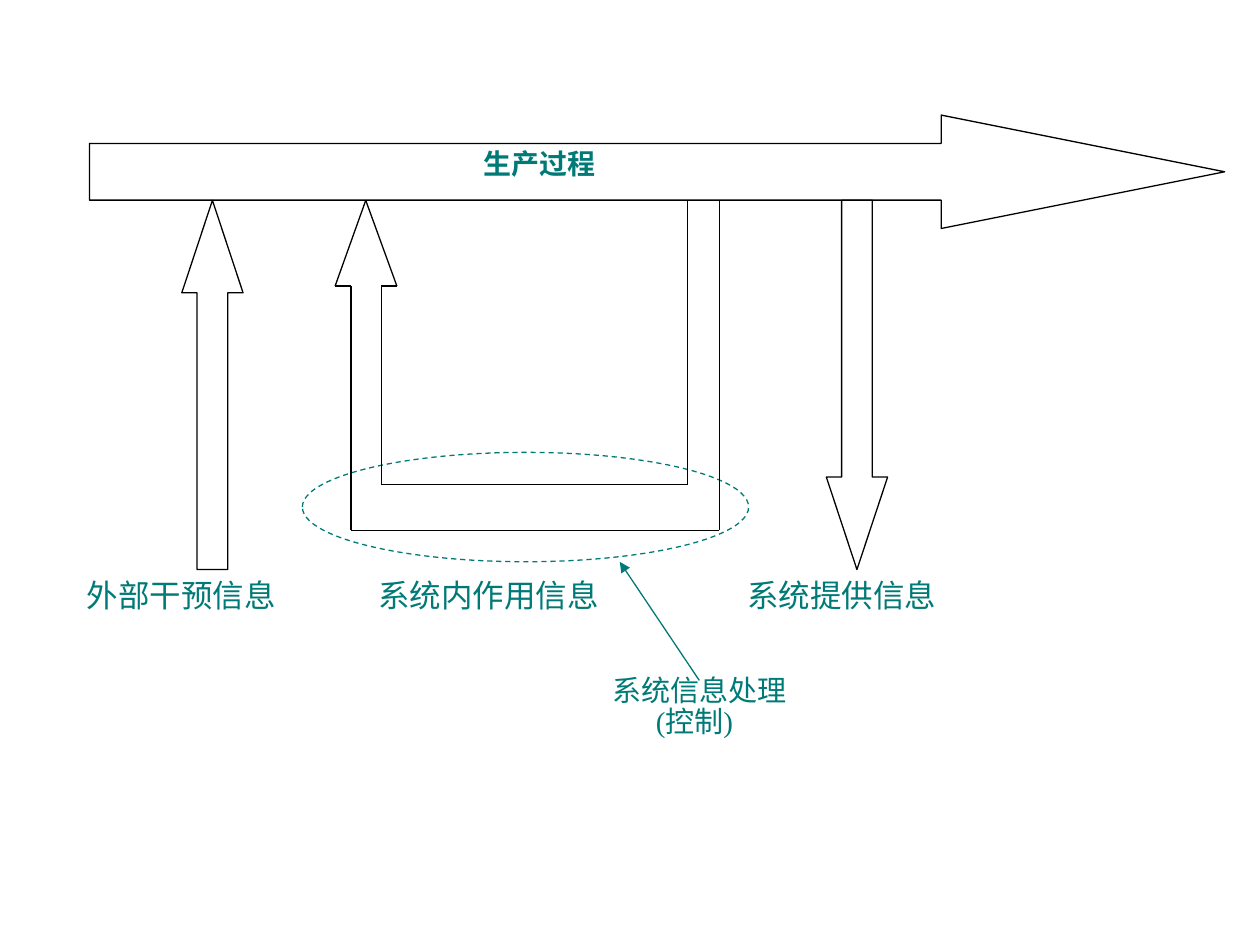
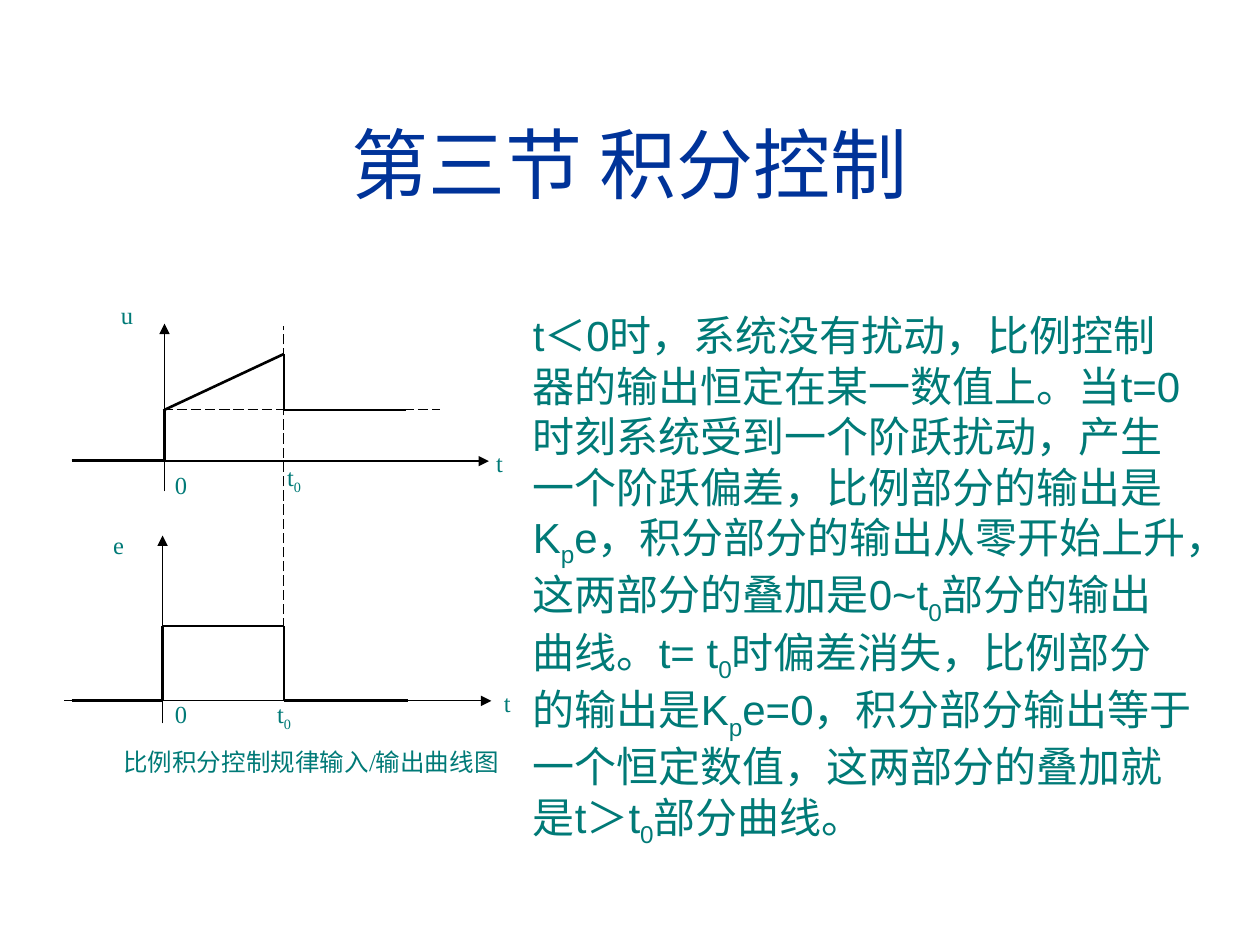
from itertools import pairwise

from lxml.etree import SubElement
from pptx import Presentation
from pptx.dml.color import RGBColor
from pptx.enum.dml import MSO_LINE
from pptx.enum.shapes import MSO_CONNECTOR, MSO_SHAPE
from pptx.enum.text import MSO_ANCHOR, PP_ALIGN
from pptx.oxml.ns import qn
from pptx.util import Pt

TEAL = "007A77"
BLUE = "003399"
BLACK = "000000"
SERIF = "Times New Roman"
SANS = "Arial"

LABEL = {"name": SERIF, "size": Pt(18)}
PROCESS = {"name": SERIF, "size": Pt(16), "bold": True}
CONTROL = {"name": SERIF, "size": Pt(16.6)}
AXIS = {"name": SERIF, "size": Pt(14)}
BODY = {"name": SANS, "size": Pt(24)}
TITLE = {"name": SANS, "size": Pt(44)}


def add_text(slide, box, lines, font_format, color=TEAL, align=PP_ALIGN.JUSTIFY):
    frame = slide.shapes.add_textbox(*map(Pt, box)).text_frame
    frame.word_wrap = True
    for index, line in enumerate(lines):
        paragraph = frame.paragraphs[0] if index == 0 else frame.add_paragraph()
        paragraph.alignment = align
        head, *tails = line.split("_")
        pieces = [(head, False)]
        for tail in tails:
            pieces += [(tail[0], True), (tail[1:], False)]
        for text, is_subscript in pieces:
            if not text:
                continue
            run = paragraph.add_run()
            run.text = text
            for name, value in font_format.items():
                setattr(run.font, name, value)
            run.font.color.rgb = RGBColor.from_string(color)
            if is_subscript:
                run._r.get_or_add_rPr().set("baseline", "-25000")
    return frame


def add_lines(slide, points, width=0.75, color=BLACK, dash=None, arrow=False):
    for start, end in pairwise(points):
        connector = slide.shapes.add_connector(
            MSO_CONNECTOR.STRAIGHT, *map(Pt, start + end))
        connector.line.width = Pt(width)
        connector.line.color.rgb = RGBColor.from_string(color)
        if dash:
            connector.line.dash_style = dash
        if arrow:
            SubElement(connector.line._get_or_add_ln(), qn("a:tailEnd"), type="triangle")
        SubElement(connector._element.spPr, qn("a:effectLst"))


presentation = Presentation()
presentation.slide_width = Pt(720)
presentation.slide_height = Pt(540)
blank_layout = presentation.slide_layouts[6]

flow_slide = presentation.slides.add_slide(blank_layout)

flow_shapes = [
    (MSO_SHAPE.RIGHT_ARROW, (51.1, 65.8, 648.7, 64.8), (0.5, 2.5), BLACK, None),
    (MSO_SHAPE.UP_ARROW, (103.9, 114.5, 35, 211), (0.5, 1.51), BLACK, None),
    (MSO_SHAPE.DOWN_ARROW, (472.2, 114.5, 35, 211), (0.5, 1.51), BLACK, None),
    (MSO_SHAPE.OVAL, (172.8, 258.5, 255, 62.5), (), TEAL, MSO_LINE.DASH),
]
for kind, box, adjustments, color, dash in flow_shapes:
    shape = flow_slide.shapes.add_shape(kind, *map(Pt, box))
    shape.shadow.inherit = False
    shape.fill.background()
    shape.line.width = Pt(0.75)
    shape.line.color.rgb = RGBColor.from_string(color)
    if dash:
        shape.line.dash_style = dash
    for index, adjustment in enumerate(adjustments):
        shape.adjustments[index] = adjustment

feedback_arrow = [
    (411, 114.5), (411, 303), (200.5, 303), (200.5, 163.5), (191.5, 163.5),
    (209, 114.5), (226.8, 163.5), (218, 163.5), (218, 277), (393, 277), (393, 114.5),
]
add_lines(flow_slide, feedback_arrow)

for left, width, label in [
    (42.5, 140.5, "外部干预信息"),
    (209, 157.5, "系统内作用信息"),
    (419.8, 140.5, "系统提供信息"),
]:
    add_text(flow_slide, (left, 325.5, width, 49), [label], LABEL)
add_text(flow_slide, (269.3, 80, 82, 31), ["生产过程"], PROCESS)

control = add_text(flow_slide, (342.7, 383, 130.5, 49), ["系统信息处理", "(控制)"], CONTROL)
for paragraph in control.paragraphs:
    paragraph.line_spacing = 0.9
control.paragraphs[1]._p.get_or_add_pPr().set("marL", str(Pt(25)))
add_lines(flow_slide, [(399.6, 388.8), (354.2, 321.1)], color=TEAL, arrow=True)

curve_slide = presentation.slides.add_slide(blank_layout)

axes = [
    [(94, 280.8), (94, 185)],
    [(41, 263.5), (279.4, 263.5)],
    [(92.9, 413.3), (92.9, 306)],
    [(36.7, 400.5), (280.8, 400.5)],
]
for axis in axes:
    add_lines(curve_slide, axis, arrow=True)

guides = [
    [(162.2, 359), (162.2, 186.5)],
    [(92.9, 234.2), (251.3, 234.2)],
]
for guide in guides:
    add_lines(curve_slide, guide, dash=MSO_LINE.LONG_DASH)

curves = [
    [(41, 263), (94, 263), (94, 234.2), (162.2, 202.3), (162.2, 234.2), (232, 234.2)],
    [(41, 400.3), (92.9, 400.3), (92.9, 357.8), (162.2, 357.8), (162.2, 400.3), (233, 400.3)],
]
for curve in curves:
    add_lines(curve_slide, curve, width=1.5)

for left, top, width, label in [
    (62, 167.8, 28, "u"),
    (57.6, 299.5, 28, "e"),
    (276.5, 252.7, 28, "t"),
    (280.8, 389.5, 28, "t"),
    (92.9, 265, 33, "0"),
    (92.9, 396, 33, "0"),
    (157, 260.6, 33, "t_0"),
    (151.2, 396, 32, "t_0"),
    (63.4, 423.4, 308, "比例积分控制规律输入/输出曲线图"),
]:
    add_text(curve_slide, (left, top, width, 28.8), [label], AXIS)

explanation = (
    "t＜0时，系统没有扰动，比例控制器的输出恒定在某一数值上。"
    "当t=0时刻系统受到一个阶跃扰动，产生一个阶跃偏差，"
    "比例部分的输出是K_pe，积分部分的输出从零开始上升，"
    "这两部分的叠加是0~t_0部分的输出曲线。"
    "t= t_0时偏差消失，比例部分的输出是K_pe=0，"
    "积分部分输出等于一个恒定数值，这两部分的叠加就是t＞t_0部分曲线。"
)
add_text(curve_slide, (297.4, 173.5, 391, 315.4), [explanation], BODY, align=PP_ALIGN.LEFT)

title = add_text(curve_slide, (23.8, 48.2, 672.5, 90), ["第三节 积分控制"], TITLE,
                 color=BLUE, align=PP_ALIGN.CENTER)
title.vertical_anchor = MSO_ANCHOR.MIDDLE

presentation.save("out.pptx")
